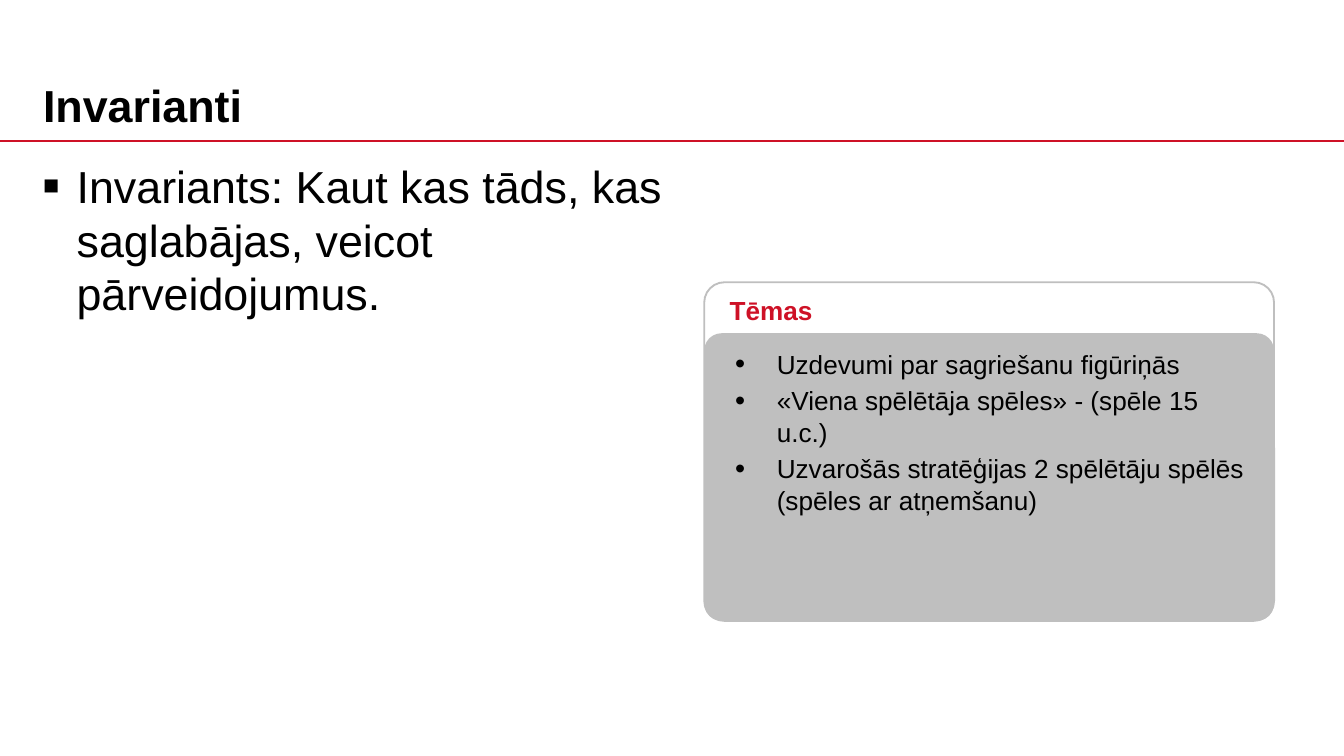
from pptx import Presentation
from pptx.dml.color import RGBColor
from pptx.enum.shapes import MSO_CONNECTOR as Conn, MSO_SHAPE as Shape
from pptx.enum.text import MSO_ANCHOR as Anchor, MSO_AUTO_SIZE as Fit, PP_ALIGN as Align
from pptx.oxml import parse_xml
from pptx.oxml.ns import nsdecls
from pptx.util import Inches, Pt

RED, GRAY, BLACK = "CE1126", "BFBFBF", "000000"


def color(text):
    return RGBColor.from_string(text)


def write(par, text, size, tint=BLACK, bold=False, mark=None, scale=100, hang=0):
    """Add one run, with a hanging bullet if a mark is given."""
    par.alignment = Align.LEFT
    run = par.add_run()
    run.text = text
    font = run.font
    font.name, font.size, font.bold = "Arial", Pt(size), bold
    font.color.rgb = color(tint)
    if mark:
        props = par._p.get_or_add_pPr()
        props.set("marL", str(Inches(hang)))
        props.set("indent", str(-Inches(hang)))
        for item in (
            '<a:spcBef {}><a:spcPct val="20000"/></a:spcBef>',
            f'<a:buClr {{}}><a:srgbClr val="{BLACK}"/></a:buClr>',
            f'<a:buSzPct {{}} val="{scale * 1000}"/>',
            '<a:buFont {} typeface="Arial"/>',
            f'<a:buChar {{}} char="{mark}"/>',
        ):
            props.append(parse_xml(item.format(nsdecls("a"))))


# Wide 16:9 slide
prs = Presentation()
prs.slide_width = Inches(10)
prs.slide_height = prs.slide_width * 9 // 16
slide = prs.slides.add_slide(prs.slide_layouts[1])
shapes = slide.shapes

# Red rule under the title
rule = shapes.add_connector(Conn.STRAIGHT, 0, Inches(1.05), Inches(10.02), Inches(1.05))
rule.line.color.rgb = color(RED)
rule.line.width = Pt(1)
rule._element.spPr.append(parse_xml(f'<a:effectLst {nsdecls("a")}/>'))

# Title and definition
title, body = shapes.title, slide.placeholders[1]
for holder, box, anchor in (
    (title, (0.22, 0.47, 9.54, 0.56), Anchor.BOTTOM),
    (body, (0.22, 1.13, 4.89, 4.27), Anchor.TOP),
):
    holder.left, holder.top, holder.width, holder.height = map(Inches, box)
    frame = holder.text_frame
    frame.auto_size, frame.word_wrap = Fit.NONE, True
    frame.vertical_anchor = anchor
write(title.text_frame.paragraphs[0], "Invarianti", 24, bold=True)
write(body.text_frame.paragraphs[0],
      "Invariants: Kaut kas tāds, kas saglabājas, veicot pārveidojumus.",
      24, mark="■", scale=60, hang=0.25)

# Card: gray panel inside a gray outline
group = shapes.add_group_shape()
for top, height, filled in ((2.48, 2.14, True), (2.1, 2.52, False)):
    card = group.shapes.add_shape(Shape.ROUNDED_RECTANGLE, Inches(5.24), Inches(top),
                                  Inches(4.24), Inches(height))
    card.adjustments[0] = 0.06
    card.shadow.inherit = False
    if filled:
        card.fill.solid()
        card.fill.fore_color.rgb = color(GRAY)
        card.line.fill.background()
    else:
        card.fill.background()
        card.line.color.rgb = color(GRAY)
        card.line.width = Pt(1)

# Card heading
head = shapes.add_textbox(Inches(5.33), Inches(2.14), Inches(3.72), Inches(0.33)).text_frame
head.word_wrap = True
write(head.paragraphs[0], "Tēmas", 14, RED, bold=True)

# Card topics
topics = [
    "Uzdevumi par sagriešanu figūriņās",
    "«Viena spēlētāja spēles» - (spēle 15 u.c.)",
    "Uzvarošās stratēģijas 2 spēlētāju spēlēs (spēles ar atņemšanu)",
]
frame = shapes.add_textbox(Inches(5.47), Inches(2.52), Inches(3.84), Inches(2.06)).text_frame
frame.word_wrap = True
frame.margin_left = frame.margin_right = frame.margin_bottom = 0
frame.margin_top = Inches(0.07)
for i, topic in enumerate(topics):
    par = frame.add_paragraph() if i else frame.paragraphs[0]
    write(par, topic, 14, mark="•", scale=110, hang=0.31)

prs.save("out.pptx")
